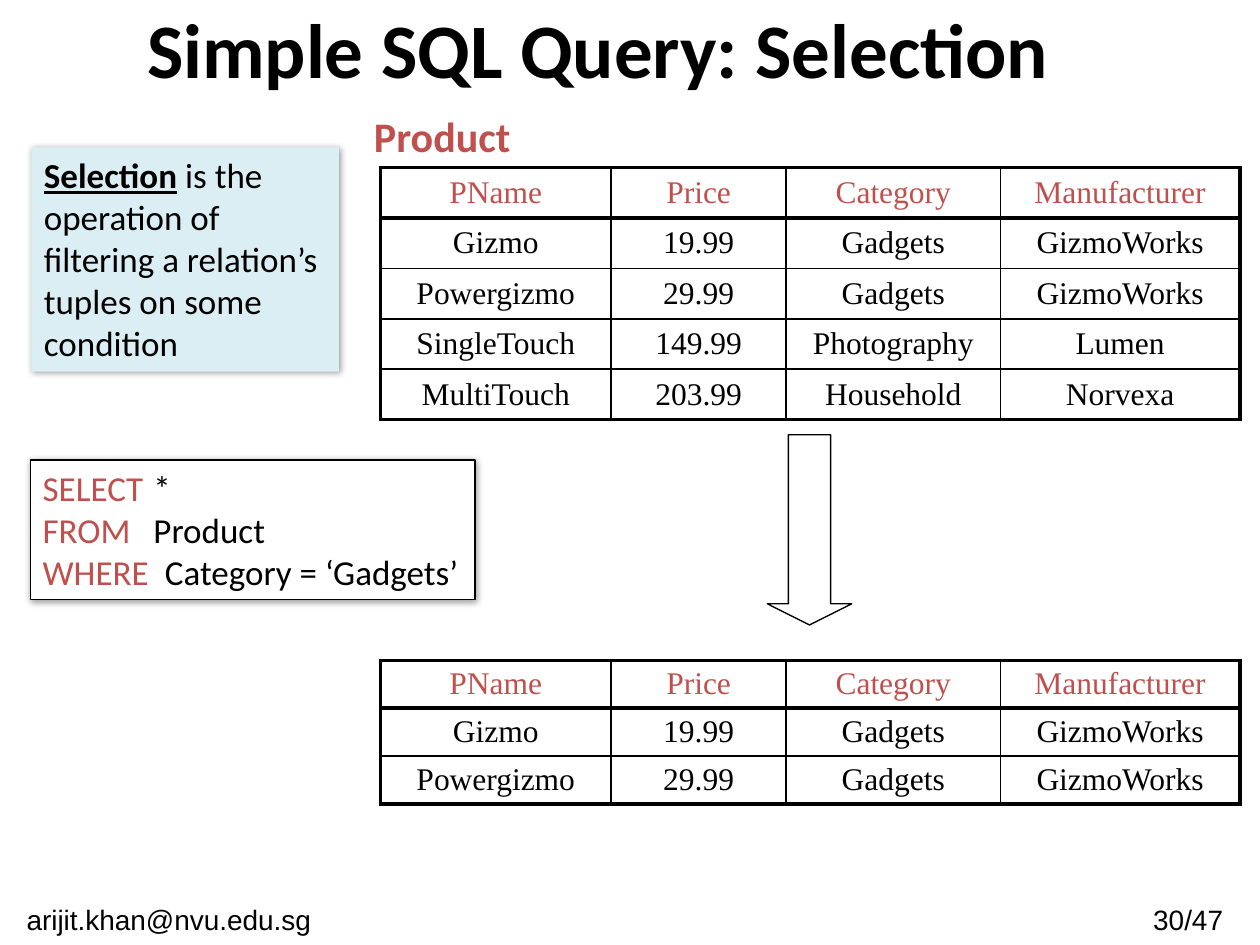
from lxml import etree
from pptx import Presentation
from pptx.dml.color import RGBColor
from pptx.enum.shapes import MSO_SHAPE
from pptx.enum.text import MSO_ANCHOR, PP_ALIGN
from pptx.oxml import parse_xml
from pptx.oxml.ns import nsdecls, qn
from pptx.util import Inches, Pt

RECT, ARROW = MSO_SHAPE.RECTANGLE, MSO_SHAPE.DOWN_ARROW
LEFT, CENTER = PP_ALIGN.LEFT, PP_ALIGN.CENTER
TOP, MIDDLE = MSO_ANCHOR.TOP, MSO_ANCHOR.MIDDLE

BLACK = RGBColor(0x00, 0x00, 0x00)
WHITE = RGBColor(0xFF, 0xFF, 0xFF)
RED = RGBColor(0xC0, 0x50, 0x4D)
PALE = RGBColor(0xDB, 0xEE, 0xF4)

# Content
TITLE = "Simple SQL Query: Selection"
HEAD = ("PName", "Price", "Category", "Manufacturer")
GOODS = [
    ("Gizmo", "19.99", "Gadgets", "GizmoWorks"),
    ("Powergizmo", "29.99", "Gadgets", "GizmoWorks"),
    ("SingleTouch", "149.99", "Photography", "Lumen"),
    ("MultiTouch", "203.99", "Household", "Norvexa"),
]
FOUND = [row for row in GOODS if row[2] == "Gadgets"]
# Keyword, operand, and tab stop of the operand in inches
QUERY = [
    ("SELECT", "*", 0.88),
    ("FROM", "Product", 0.88),
    ("WHERE", "Category = ‘Gadgets’", 0.97),
]
NOTE = [
    ("Selection", {"bold": True, "underline": True}),
    (" is the operation of filtering a relation’s tuples on some condition", {}),
]
FOOT = [("arijit.khan@nvu.edu.sg", (0, 7.11, 2.68, 0.39)),
        ("30/47", (8.85, 7.11, 1.16, 0.39))]
COLS = (1.83, 1.39, 1.7, 1.9)


def write(frame, lines, size=20, font="Calibri", color=BLACK, bold=False,
          align=LEFT, anchor=TOP, wrap=True):
    """Fill a frame; each line is a string or a list of (text, format) runs."""
    frame.word_wrap = wrap
    frame.vertical_anchor = anchor
    for i, line in enumerate(lines):
        par = frame.add_paragraph() if i else frame.paragraphs[0]
        par.alignment = align
        for text, form in [(line, {})] if isinstance(line, str) else line:
            run = par.add_run()
            run.text = text
            face = run.font
            face.name, face.size = font, Pt(size)
            face.bold = form.get("bold", bold)
            face.underline = form.get("underline", False)
            face.color.rgb = form.get("color", color)


def label(slide, box, text, **form):
    area = slide.shapes.add_textbox(*map(Inches, box))
    write(area.text_frame, [text], **form)


def draw(slide, kind, box, fill=None, line=None, shade=False):
    shape = slide.shapes.add_shape(kind, *map(Inches, box))
    shape.shadow.inherit = False
    if fill is None:
        shape.fill.background()
    else:
        shape.fill.solid()
        shape.fill.fore_color.rgb = fill
    if line is None:
        shape.line.fill.background()
    else:
        shape.line.color.rgb = line
        shape.line.width = Pt(0.75)
    if shade:
        effects = shape._element.spPr.find(qn("a:effectLst"))
        effects.append(parse_xml(
            f'<a:outerShdw {nsdecls("a")} blurRad="{Pt(4)}" dist="{Pt(1)}" '
            'dir="2700000" algn="tl" rotWithShape="0"><a:srgbClr val="000000">'
            '<a:alpha val="40000"/></a:srgbClr></a:outerShdw>'))
    return shape


def border(cell, widths):
    props = cell._tc.get_or_add_tcPr()
    for side, width in zip("LRTB", widths):
        line = etree.SubElement(props, qn(f"a:ln{side}"), w=str(Pt(width)))
        fill = etree.SubElement(line, qn("a:solidFill"))
        etree.SubElement(fill, qn("a:srgbClr"), val=str(BLACK))


def grid(slide, left, top, rows, high):
    """Table with a heavy frame and a heavy rule below its red head."""
    rows = [HEAD] + rows
    last, end = len(rows) - 1, len(COLS) - 1
    table = slide.shapes.add_table(
        len(rows), len(COLS), Inches(left), Inches(top),
        Inches(sum(COLS)), Inches(high * len(rows))).table
    table.first_row = table.horz_banding = False
    for col, width in zip(table.columns, COLS):
        col.width = Inches(width)
    for r, row in enumerate(rows):
        table.rows[r].height = Inches(high)
        for c, text in enumerate(row):
            cell = table.cell(r, c)
            heavy = (c == 0, c == end, r < 2, r in (0, last))
            border(cell, [2.25 if h else 1 for h in heavy])
            cell.fill.background()
            cell.margin_top = cell.margin_bottom = Inches(0.04)
            cell.vertical_anchor = MIDDLE
            write(cell.text_frame, [text], size=18, font="Times New Roman",
                  color=BLACK if r else RED, align=CENTER, anchor=MIDDLE)


def main():
    deck = Presentation()
    deck.slide_width, deck.slide_height = Inches(10), Inches(7.5)
    slide = deck.slides.add_slide(deck.slide_layouts[5])

    # Title and footer
    title = slide.shapes.title
    title.left, title.top, title.width, title.height = map(
        Inches, (0.25, 0, 9, 0.75))
    write(title.text_frame, [TITLE], size=44, bold=True, align=CENTER,
          anchor=MIDDLE)
    for text, box in FOOT:
        label(slide, box, text, size=16, font="Arial", align=CENTER)

    # Source table, arrow and result table
    label(slide, (2.87, 0.83, 1.3, 0.5), "Product", size=24, color=RED,
          bold=True, wrap=False)
    grid(slide, 3.02, 1.33, GOODS, 0.4)
    arrow = draw(slide, ARROW, (6.09, 3.45, 0.67, 1.51), line=BLACK)
    arrow.adjustments[0], arrow.adjustments[1] = 0.5, 0.25
    grid(slide, 3.02, 5.24, FOUND, 0.38)

    # Query with operands set at tab stops
    query = draw(slide, RECT, (0.24, 3.65, 3.53, 1.11), WHITE, BLACK, True)
    write(query.text_frame,
          [[(word + "\t", {"color": RED}), (rest, {})]
           for word, rest, _ in QUERY], wrap=False)
    for par, (_, _, stop) in zip(query.text_frame.paragraphs, QUERY):
        tabs = etree.SubElement(par._p.get_or_add_pPr(), qn("a:tabLst"))
        etree.SubElement(tabs, qn("a:tab"), pos=str(Inches(stop)), algn="l")

    # Definition
    note = draw(slide, RECT, (0.25, 1.17, 2.44, 1.78), PALE, shade=True)
    write(note.text_frame, [NOTE])

    deck.save("out.pptx")


if __name__ == "__main__":
    main()
